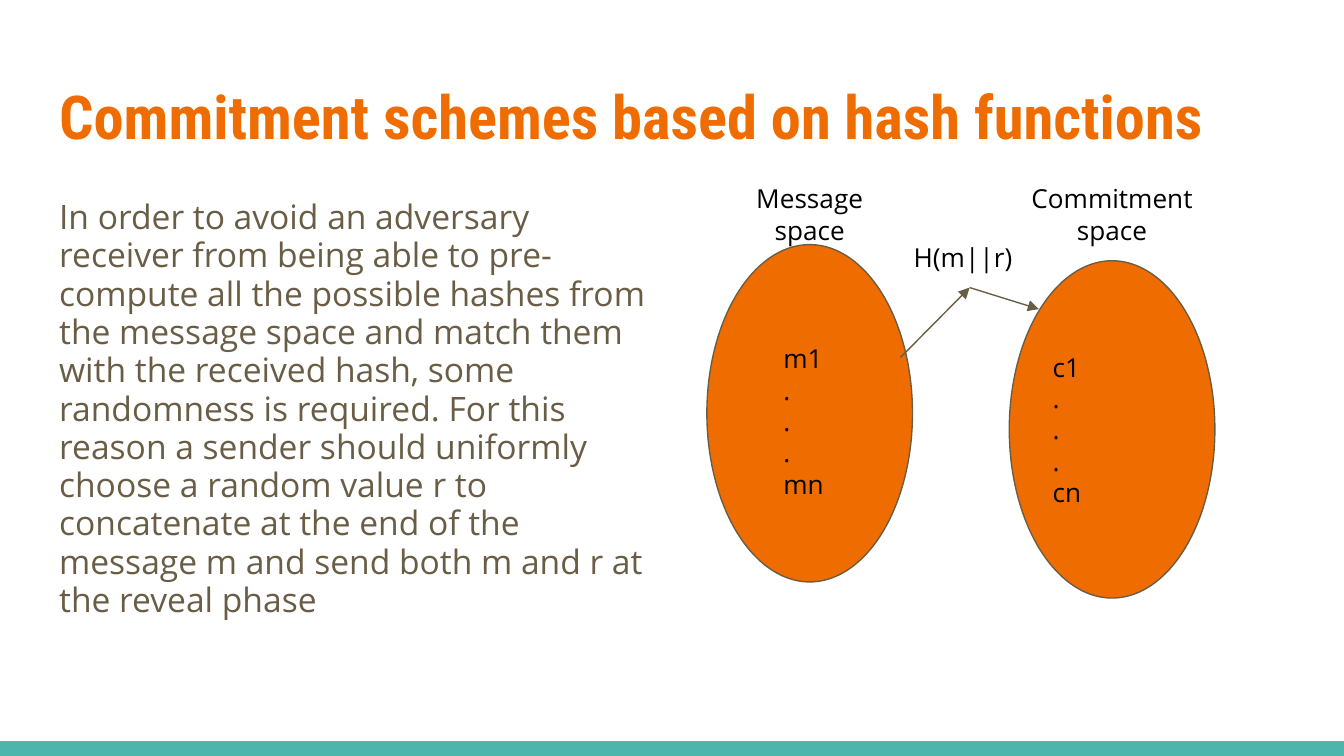
"""Build a slide on commitment schemes based on hash functions."""
from dataclasses import dataclass

from lxml import etree
from pptx import Presentation
from pptx import util as u
from pptx.dml.color import RGBColor
from pptx.enum import shapes, text
from pptx.oxml import ns

COLORS = {"orange": "EF6C00", "brown": "695D46", "teal": "4DB6AC", "black": "000000"}
TITLE_FONT, BODY_FONT = "Roboto Condensed", "Open Sans"
SLIDE_WIDTH = 10
SLIDE_HEIGHT = SLIDE_WIDTH * 9 / 16
BAR_HEIGHT = 0.11
OVAL_WIDTH, OVAL_HEIGHT = 1.53, 2.51
TITLE = "Commitment schemes based on hash functions"
BODY = (
    "In order to avoid an adversary receiver from being able to pre-compute all the "
    "possible hashes from the message space and match them with the received hash, "
    "some randomness is required. For this reason a sender should uniformly choose a "
    "random value r to concatenate at the end of the message m and send both m and r "
    "at the reveal phase"
)


@dataclass(frozen=True)
class Box:
    left: float
    top: float
    width: float
    height: float

    def lengths(self) -> list:
        return [u.Inches(v) for v in (self.left, self.top, self.width, self.height)]


@dataclass(frozen=True)
class Label:
    box: Box
    lines: tuple
    align: text.PP_ALIGN = text.PP_ALIGN.LEFT


@dataclass(frozen=True)
class Space:
    name: str
    left: float
    top: float


def color(name: str) -> RGBColor:
    return RGBColor.from_string(COLORS[name])


def write(shape, lines: tuple, size: float, font: str, tint: str,
          align=text.PP_ALIGN.LEFT, bold: bool = False) -> None:
    frame = shape.text_frame
    frame.word_wrap = True
    frame.margin_left = frame.margin_right = u.Inches(0.1)
    frame.margin_top = frame.margin_bottom = u.Inches(0.1)
    for index, line in enumerate(lines):
        paragraph = frame.add_paragraph() if index else frame.paragraphs[0]
        paragraph.alignment = align
        run = paragraph.add_run()
        run.text = line
        run.font.size = u.Pt(size)
        run.font.name = font
        run.font.bold = bold
        run.font.color.rgb = color(tint)


def fill_placeholder(shape, box: Box, content: str, size: float, font: str,
                     tint: str, bold: bool = False) -> None:
    shape.left, shape.top, shape.width, shape.height = box.lengths()
    write(shape, (content,), size, font, tint, bold=bold)
    shape.text_frame.vertical_anchor = text.MSO_ANCHOR.TOP
    shape.text_frame.auto_size = text.MSO_AUTO_SIZE.NONE


def add_filled(slide, kind, box: Box, tint: str):
    shape = slide.shapes.add_shape(kind, *box.lengths())
    shape.shadow.inherit = False
    shape.fill.solid()
    shape.fill.fore_color.rgb = color(tint)
    shape.line.fill.background()
    return shape


def add_oval(slide, space: Space):
    box = Box(space.left, space.top, OVAL_WIDTH, OVAL_HEIGHT)
    oval = add_filled(slide, shapes.MSO_SHAPE.OVAL, box, "orange")
    oval.line.color.rgb = color("brown")
    oval.line.width = u.Pt(0.75)
    return oval


def add_label(slide, label: Label):
    shape = slide.shapes.add_textbox(*label.box.lengths())
    write(shape, label.lines, 14, BODY_FONT, "black", label.align)
    shape.text_frame.auto_size = text.MSO_AUTO_SIZE.SHAPE_TO_FIT_TEXT
    return shape


def add_arrow(slide, start: tuple, end: tuple):
    points = [u.Inches(v) for v in start + end]
    arrow = slide.shapes.add_connector(shapes.MSO_CONNECTOR.STRAIGHT, *points)
    arrow.line.color.rgb = color("brown")
    arrow.line.width = u.Pt(0.75)
    etree.SubElement(arrow.line._get_or_add_ln(), ns.qn("a:tailEnd"), type="triangle")
    etree.SubElement(arrow._element.spPr, ns.qn("a:effectLst"))
    return arrow


def element_lines(letter: str) -> tuple:
    return (f"{letter}1", ".", ".", ".", f"{letter}n")


def main() -> None:
    presentation = Presentation()
    presentation.slide_width = u.Inches(SLIDE_WIDTH)
    presentation.slide_height = u.Inches(SLIDE_HEIGHT)
    slide = presentation.slides.add_slide(presentation.slide_layouts[1])

    bar = Box(0, SLIDE_HEIGHT - BAR_HEIGHT, SLIDE_WIDTH, BAR_HEIGHT)
    add_filled(slide, shapes.MSO_SHAPE.RECTANGLE, bar, "teal")
    fill_placeholder(slide.shapes.title, Box(0.34, 0.49, 9.32, 0.77), TITLE,
                     32.4, TITLE_FONT, "orange", bold=True)

    body = slide.placeholders[1]
    properties = body.text_frame.paragraphs[0]._p.get_or_add_pPr()
    properties.set("marL", "0")
    properties.set("indent", "0")
    etree.SubElement(properties, ns.qn("a:buNone"))
    fill_placeholder(body, Box(0.34, 1.38, 4.66, 3.61), BODY, 18, BODY_FONT, "brown")
    paragraph = body.text_frame.paragraphs[0]
    paragraph.line_spacing = 0.95
    paragraph.space_before = u.Pt(0)
    paragraph.space_after = u.Pt(12)

    message = Space("Message space", 5.26, 1.82)
    commitment = Space("Commitment space", 7.51, 1.94)
    add_oval(slide, message)
    commitment_oval = add_oval(slide, commitment)
    write(commitment_oval, element_lines("c"), 14, BODY_FONT, "black")
    commitment_oval.text_frame.vertical_anchor = text.MSO_ANCHOR.MIDDLE

    for space in (message, commitment):
        box = Box(space.left, 1.26, OVAL_WIDTH, 0.67)
        add_label(slide, Label(box, (space.name,), text.PP_ALIGN.CENTER))
    hash_label = add_label(slide, Label(Box(6.7, 1.7, 1.03, 0.44), ("H(m||r)",)))
    add_label(slide, Label(Box(5.73, 2.45, 0.68, 1.38), element_lines("m")))

    hash_point = (7.21, 2.14)
    add_arrow(slide, (6.7, 2.66), hash_point).end_connect(hash_label, 2)
    add_arrow(slide, hash_point, (7.73, 2.3)).begin_connect(hash_label, 2)

    presentation.save("out.pptx")


if __name__ == "__main__":
    main()
